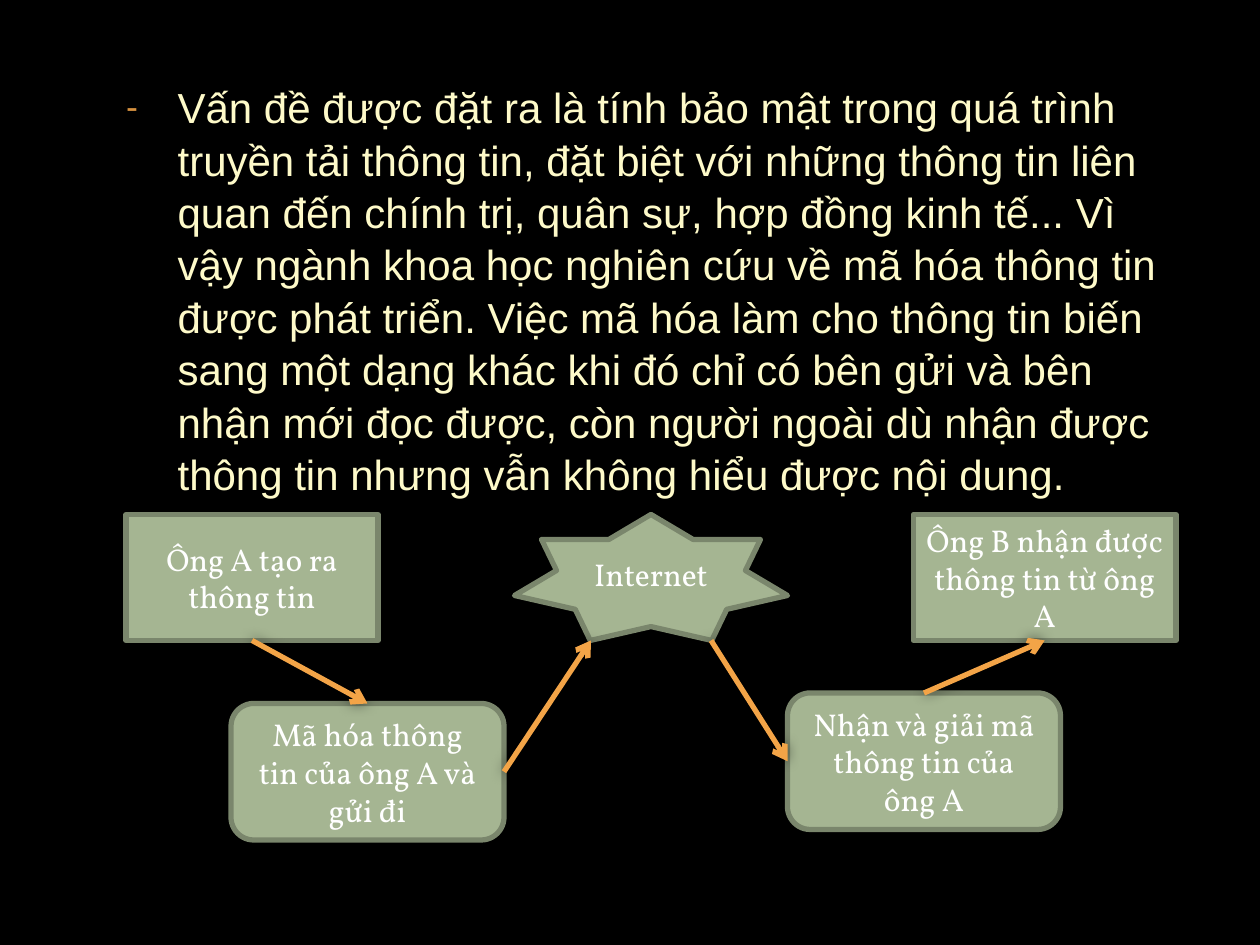
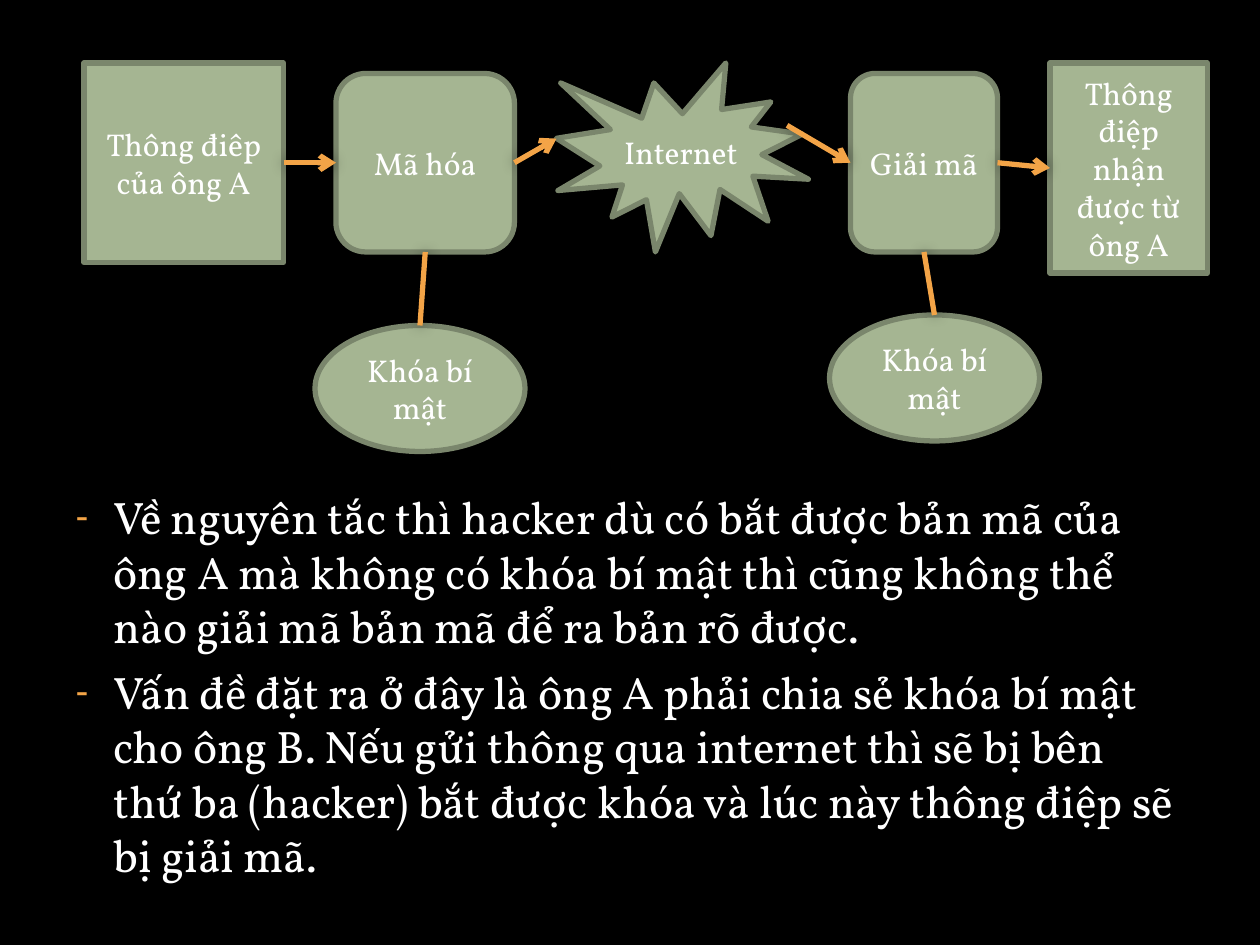
import pptx
import pptx.util
import pptx.dml.color
import pptx.enum.shapes
import pptx.enum.text
import pptx.oxml
import pptx.oxml.ns

KIND = pptx.enum.shapes.MSO_SHAPE
ALIGN = pptx.enum.text.PP_ALIGN
ANCHOR = pptx.enum.text.MSO_ANCHOR
FIT = pptx.enum.text.MSO_AUTO_SIZE
Pt = pptx.util.Pt

HUES = {"back": "000000", "box": "A5B592", "edge": "7A866C", "arrow": "F3A447",
        "text": "FFFFFF", "cream": "FEFAC9", "dash": "D6913F"}
UNIT = pptx.util.Inches(1) // 12  # grid of 120 columns and 90 rows

# Points on a box, as shares of its width and height
SITES = {"top": (0.5, 0), "left": (0, 0.5), "bottom": (0.5, 1), "right": (1, 0.5),
         "foot in": (0.28, 1), "foot out": (0.72, 1),
         "burst in": (0, 0.4), "burst out": (0.915, 0.33)}

# Content: boxes are kind, text, (column, row, columns, rows)
SLIDES = [
    {
        "body": (6, 7, 108, 73),
        "style": {"level": 1, "space_before": Pt(3), "space_after": Pt(0), "line_spacing": 1.04},
        "font": {"name": "Arial", "size": Pt(24)},
        "hue": "cream", "bullet": "dash", "indent": 0.81, "hang": 0.41,
        "lines": [
            "Vấn đề được đặt ra là tính bảo mật trong quá trình truyền tải thông tin, "
            "đặt biệt với những thông tin liên quan đến chính trị, quân sự, hợp đồng "
            "kinh tế... Vì vậy ngành khoa học nghiên cứu về mã hóa thông tin được phát "
            "triển. Việc mã hóa làm cho thông tin biến sang một dạng khác khi đó chỉ có "
            "bên gửi và bên nhận mới đọc được, còn người ngoài dù nhận được thông tin "
            "nhưng vẫn không hiểu được nội dung.",
        ],
        "boxes": {
            "sender": (KIND.RECTANGLE, "Ông A tạo ra thông tin", (12, 49, 24, 12)),
            "encode": (KIND.ROUNDED_RECTANGLE, "Mã hóa thông tin của ông A và gửi đi",
                       (22, 67, 26, 13)),
            "net": (KIND.STAR_7_POINT, "Internet", (49, 49, 26, 12)),
            "reader": (KIND.RECTANGLE, "Ông B nhận được thông tin từ ông A", (87, 49, 25, 12)),
            "decode": (KIND.ROUNDED_RECTANGLE, "Nhận và giải mã thông tin của ông A",
                       (75, 66, 26, 13)),
        },
        "links": [
            ("sender", "bottom", "encode", "top", True),
            ("encode", "right", "net", "foot in", True),
            ("net", "foot out", "decode", "left", True),
            ("decode", "top", "reader", "bottom", True),
        ],
    },
    {
        "body": (6, 46, 108, 36),
        "style": {"level": 0, "space_before": Pt(6), "space_after": Pt(0), "line_spacing": 1.0},
        "font": {"name": "Vollkorn", "size": Pt(26)},
        "hue": "text", "bullet": "arrow", "indent": 0.3, "hang": 0.3,
        "lines": [
            "Về nguyên tắc thì hacker dù có bắt được bản mã của ông A mà không có khóa "
            "bí mật thì cũng không thể nào giải mã bản mã để ra bản rõ được.",
            "Vấn đề đặt ra ở đây là ông A phải chia sẻ khóa bí mật cho ông B. Nếu gửi "
            "thông qua internet thì sẽ bị bên thứ ba (hacker) bắt được khóa và lúc này "
            "thông điệp sẽ bị giải mã.",
        ],
        "boxes": {
            "sender": (KIND.RECTANGLE, "Thông điêp của ông A", (8, 6, 19, 19)),
            "net": (KIND.EXPLOSION1, "Internet", (53, 6, 24, 18)),
            "reader": (KIND.RECTANGLE, "Thông điệp nhận được từ ông A", (100, 6, 15, 20)),
            "encode": (KIND.ROUNDED_RECTANGLE, "Mã hóa", (32, 7, 17, 17)),
            "decode": (KIND.ROUNDED_RECTANGLE, "Giải mã", (81, 7, 14, 17)),
            "key A": (KIND.OVAL, "Khóa bí mật", (30, 31, 20, 12)),
            "key B": (KIND.OVAL, "Khóa bí mật", (79, 30, 20, 12)),
        },
        "links": [
            ("sender", "right", "encode", "left", True),
            ("encode", "right", "net", "burst in", True),
            ("net", "burst out", "decode", "left", True),
            ("decode", "right", "reader", "left", True),
            ("key A", "top", "encode", "bottom", False),
            ("key B", "top", "decode", "bottom", False),
        ],
    },
]
LABEL = {"name": "Vollkorn", "size": Pt(18)}


def rgb(hue):
    return pptx.dml.color.RGBColor.from_string(HUES[hue])


def apply(item, style):
    for key, value in style.items():
        setattr(item, key, value)


def grid(cells):
    return [n * UNIT for n in cells]


def paint(fill, hue):
    fill.solid()
    fill.fore_color.rgb = rgb(hue)


def write(para, text, font, hue):
    run = para.add_run()
    run.text = text
    apply(run.font, font)
    run.font.color.rgb = rgb(hue)


def add_xml(parent, text):
    space = pptx.oxml.ns.nsdecls("a")
    parent.append(pptx.oxml.parse_xml(text.replace(" ", f" {space} ", 1)))


def fill_body(slide, page):
    body = slide.placeholders[1]
    apply(body, dict(zip(("left", "top", "width", "height"), grid(page["body"]))))
    frame = body.text_frame
    apply(frame, {"word_wrap": True, "auto_size": FIT.NONE, "vertical_anchor": ANCHOR.TOP})
    for i, line in enumerate(page["lines"]):
        para = frame.add_paragraph() if i else frame.paragraphs[0]
        apply(para, page["style"])
        write(para, line, page["font"], page["hue"])
        props = para._p.get_or_add_pPr()
        props.set("marL", str(pptx.util.Inches(page["indent"])))
        props.set("indent", str(-pptx.util.Inches(page["hang"])))
        add_xml(props, f'<a:buClr ><a:srgbClr val="{HUES[page["bullet"]]}"/></a:buClr>')
        add_xml(props, '<a:buSzPct val="85000"/>')
        add_xml(props, '<a:buFont typeface="Arial"/>')
        add_xml(props, '<a:buChar char="-"/>')


def add_box(slide, kind, text, cells):
    box = slide.shapes.add_shape(kind, *grid(cells))
    box.shadow.inherit = False
    paint(box.fill, "box")
    paint(box.line.fill, "edge")
    box.line.width = Pt(3)
    frame = box.text_frame
    apply(frame, {"word_wrap": True, "vertical_anchor": ANCHOR.MIDDLE})
    frame.paragraphs[0].alignment = ALIGN.CENTER
    write(frame.paragraphs[0], text, LABEL, "text")


def spot(cells, site):
    left, top, wide, high = grid(cells)
    x, y = SITES[site]
    return round(left + x * wide), round(top + y * high)


def add_link(slide, start, end, arrow):
    link = slide.shapes.add_connector(pptx.enum.shapes.MSO_CONNECTOR.STRAIGHT, *start, *end)
    paint(link.line.fill, "arrow")
    link.line.width = Pt(3)
    props = link._element.spPr
    if arrow:
        add_xml(props.find(pptx.oxml.ns.qn("a:ln")), '<a:tailEnd type="arrow"/>')
    add_xml(props, f'<a:effectLst ><a:outerShdw blurRad="{Pt(7.5)}" dist="0" dir="0">'
                   '<a:srgbClr val="000000"><a:alpha val="50000"/></a:srgbClr>'
                   '</a:outerShdw></a:effectLst>')


def main():
    deck = pptx.Presentation()
    apply(deck, {"slide_width": 120 * UNIT, "slide_height": 90 * UNIT})
    paint(deck.slide_master.background.fill, "back")
    for page in SLIDES:
        slide = deck.slides.add_slide(deck.slide_layouts[1])
        title = slide.shapes.title._element
        title.getparent().remove(title)
        fill_body(slide, page)
        boxes = page["boxes"]
        for box in boxes.values():
            add_box(slide, *box)
        for one, out, two, into, arrow in page["links"]:
            add_link(slide, spot(boxes[one][2], out), spot(boxes[two][2], into), arrow)
    deck.save("out.pptx")


if __name__ == "__main__":
    main()
